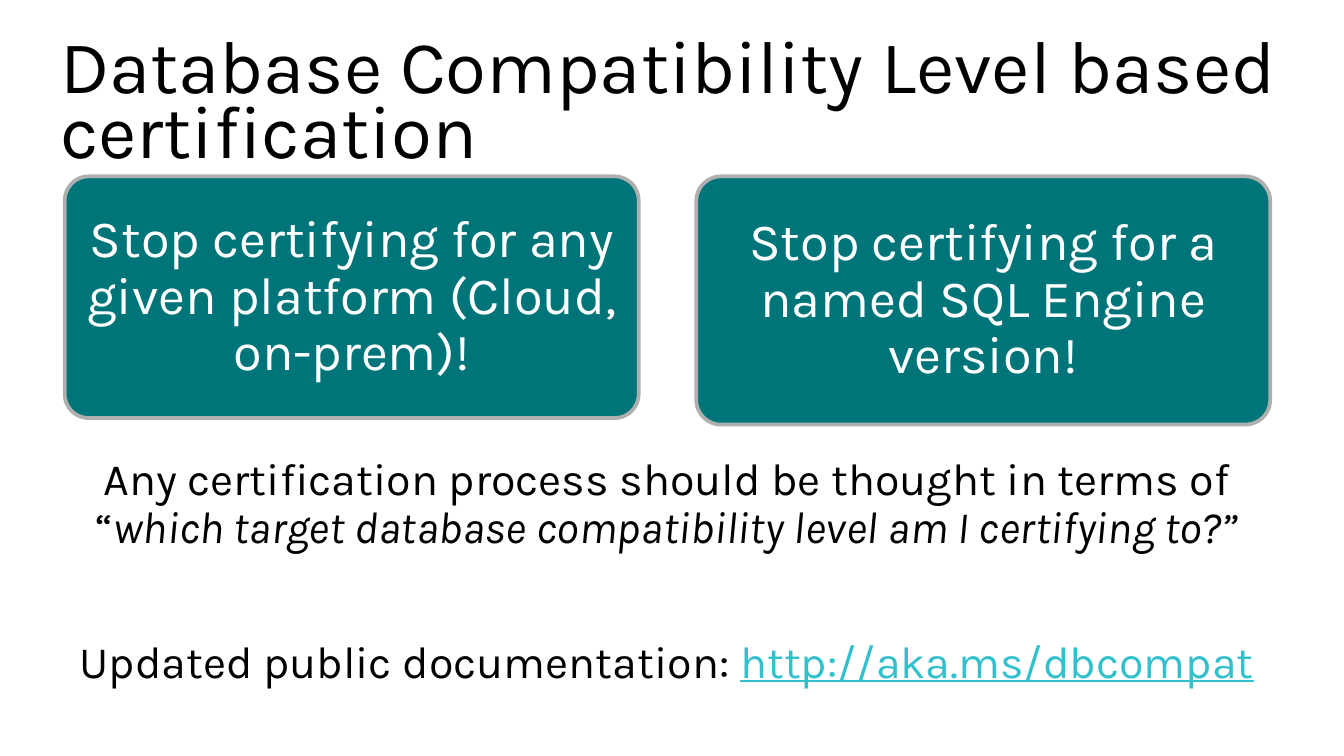
from pptx import Presentation
from pptx import util as u
from pptx.dml.color import RGBColor
from pptx.enum import shapes, text

COLOURS = {"ink": "000000", "paper": "FFFFFF", "teal": "007579", "border": "AFAFAF", "link": "33C0CD"}


class SlideBuilder:
    """Holds the style and the current slide, and adds elements measured in points."""

    def __init__(self, slide, font, colours):
        self.slide, self.font, self.colours = slide, font, colours

    def colour(self, name):
        return RGBColor.from_string(self.colours[name])

    def style(self, paragraph, size, colour, align):
        paragraph.alignment = align
        paragraph.font.name = self.font
        paragraph.font.size = u.Pt(size)
        paragraph.font.color.rgb = self.colour(colour)

    def card(self, left, top, width, height, message):
        card = self.slide.shapes.add_shape(
            shapes.MSO_SHAPE.ROUNDED_RECTANGLE, *map(u.Pt, (left, top, width, height)))
        card.adjustments[0] = 0.1
        card.shadow.inherit = False
        card.fill.solid()
        card.fill.fore_color.rgb = self.colour("teal")
        card.line.color.rgb = self.colour("border")
        card.line.width = u.Pt(2)
        frame = card.text_frame
        frame.word_wrap = True
        frame.vertical_anchor = text.MSO_ANCHOR.MIDDLE
        frame.margin_left = frame.margin_right = u.Pt(7.9)
        frame.margin_top = frame.margin_bottom = u.Pt(6.5)
        paragraph = frame.paragraphs[0]
        paragraph.text = message
        paragraph.line_spacing = 0.9
        self.style(paragraph, 28, "paper", text.PP_ALIGN.CENTER)

    def text_box(self, left, top, width, height, inset_top=3.6):
        frame = self.slide.shapes.add_textbox(*map(u.Pt, (left, top, width, height))).text_frame
        frame.word_wrap = True
        frame.margin_top = u.Pt(inset_top)
        return frame

    def title(self, left, top, width, height, heading):
        paragraph = self.text_box(left, top, width, height).paragraphs[0]
        paragraph.text = heading
        paragraph.line_spacing = u.Pt(35)
        self.style(paragraph, 40, "ink", text.PP_ALIGN.LEFT)

    def body(self, left, top, width, height, inset_top, gap, statements):
        frame = self.text_box(left, top, width, height, inset_top)
        for index, (lead, ending, emphasis) in enumerate(statements):
            paragraph = frame.add_paragraph() if index else frame.paragraphs[0]
            if index:
                paragraph.space_before = u.Pt(gap)
            paragraph.line_spacing = 0.9
            self.style(paragraph, 24, "ink", text.PP_ALIGN.CENTER)
            paragraph.add_run().text = lead
            closing = paragraph.add_run()
            closing.text = ending
            if emphasis == "link":
                closing.font.underline = True
                closing.font.color.rgb = self.colour("link")
            else:
                closing.font.italic = True


def main():
    deck = Presentation()
    deck.slide_width, deck.slide_height = u.Pt(720), u.Pt(405)
    builder = SlideBuilder(deck.slides.add_slide(deck.slide_layouts[6]), "Karla", COLOURS)

    advice = [
        ("Stop certifying for any given platform (Cloud, on-prem)!", 129.5),
        ("Stop certifying for a named SQL Engine version!", 133),
    ]
    for column, (message, height) in enumerate(advice):
        builder.card(34.7 + column * 338.3, 94.5, 307.5, height, message)

    builder.title(25.2, 19.5, 667.5, 48, "Database Compatibility Level based certification")
    builder.body(31.7, 202.3, 651, 168.5, 42.5, 46, [
        ("Any certification process should be thought in terms of “",
         "which target database compatibility level am I certifying to?”", "italic"),
        ("Updated public documentation: ", "http://aka.ms/dbcompat", "link"),
    ])
    deck.save("out.pptx")


if __name__ == "__main__":
    main()
